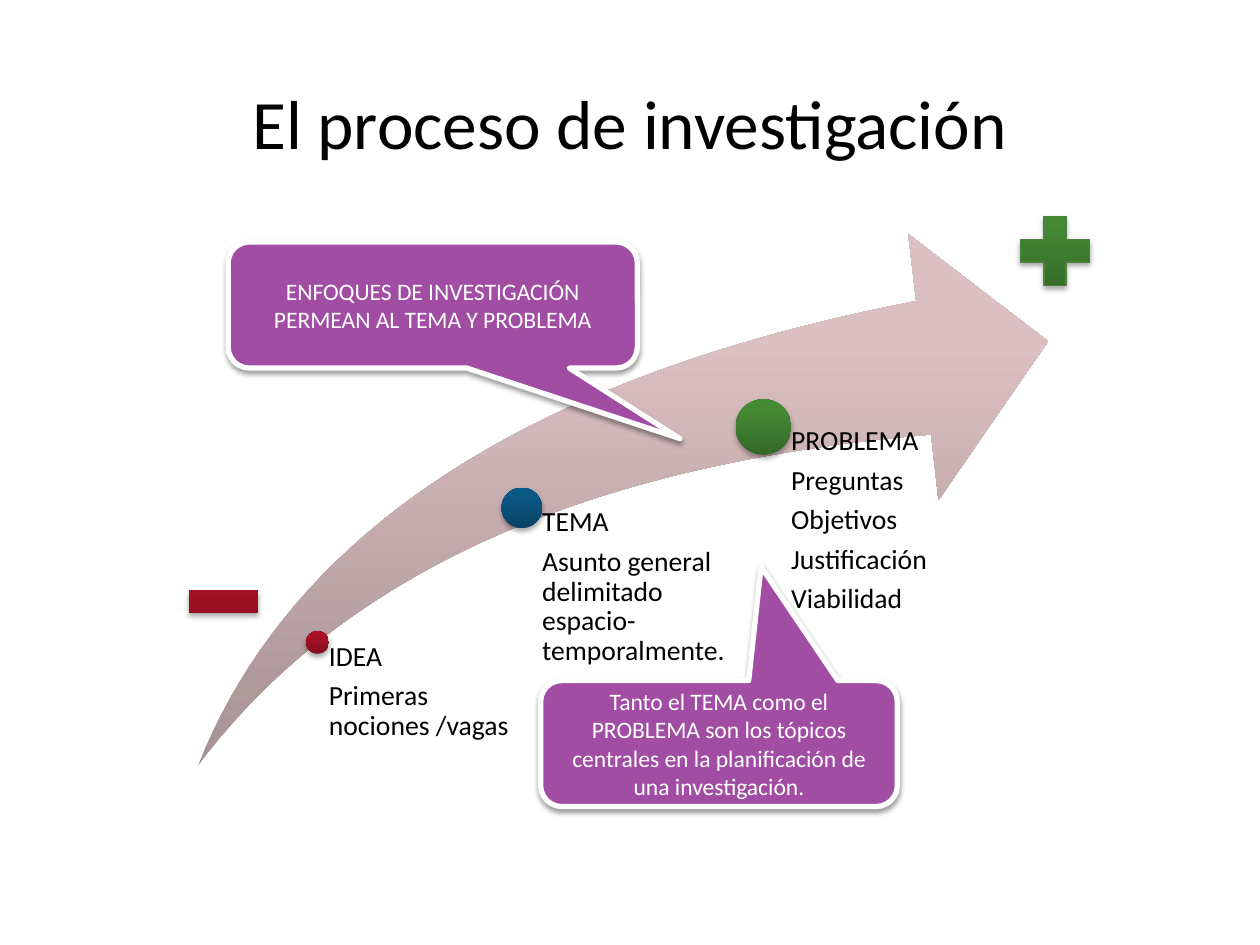
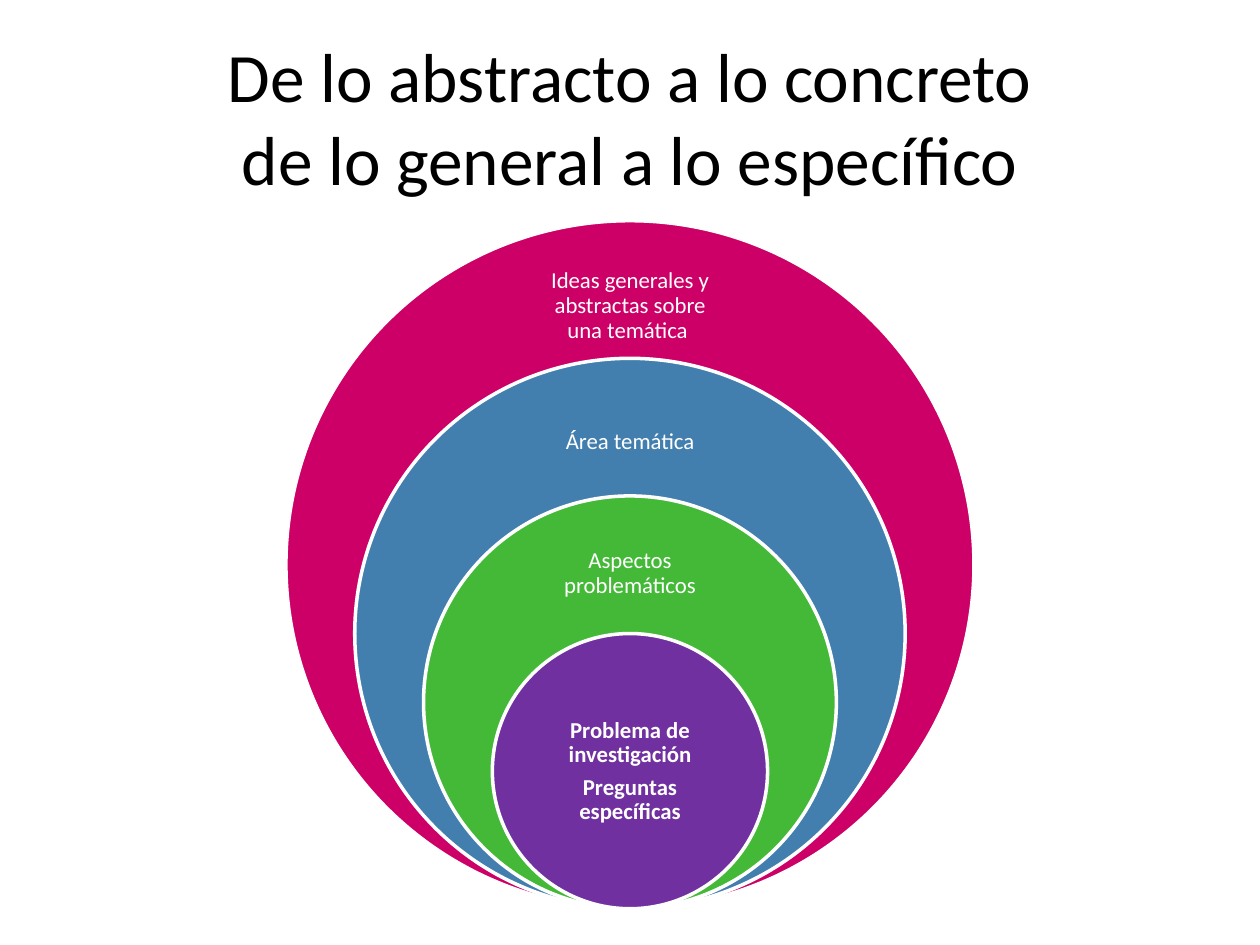
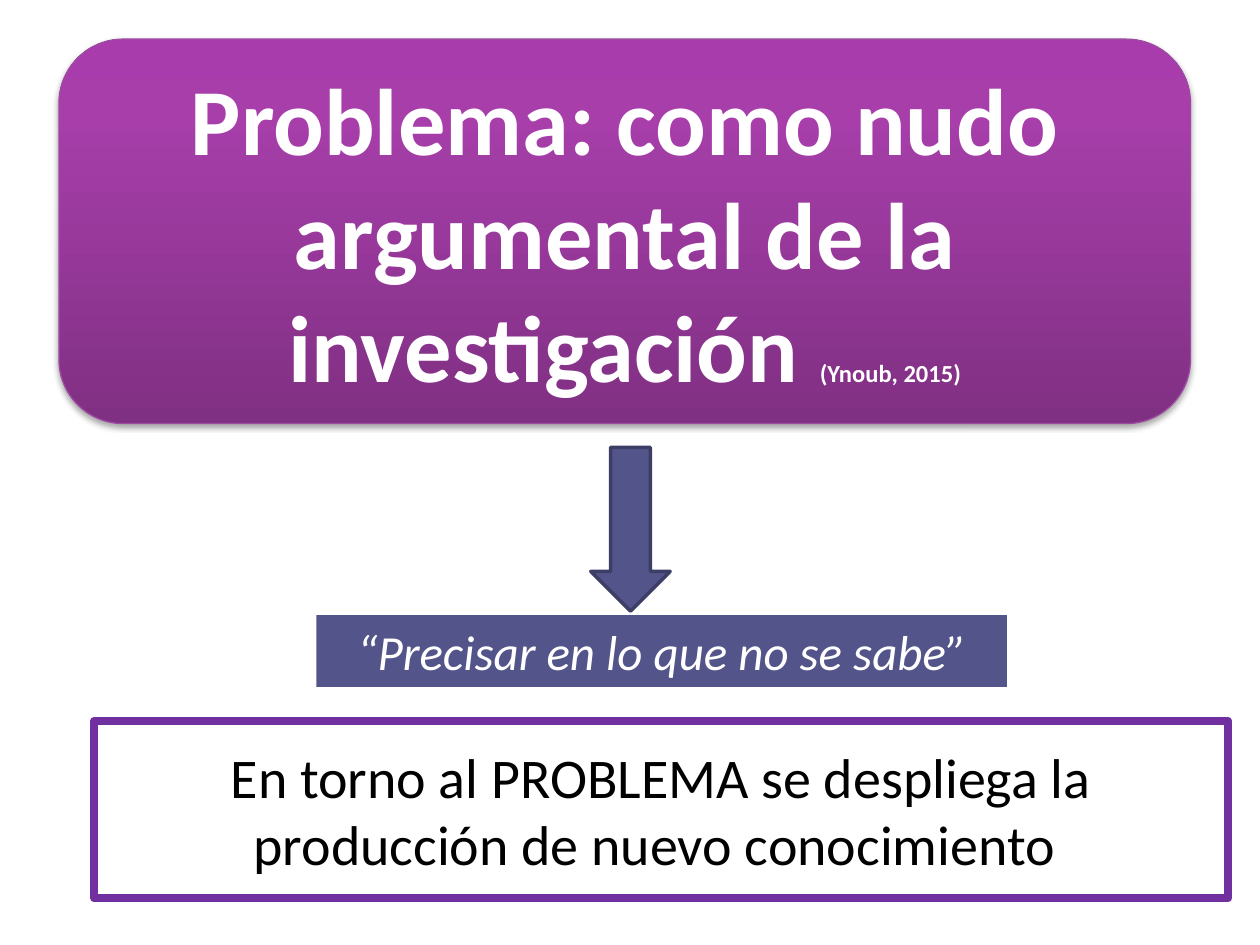
from lxml import etree
from pptx import Presentation
from pptx.dml.color import RGBColor
from pptx.enum.shapes import MSO_SHAPE
from pptx.enum.text import MSO_ANCHOR, MSO_AUTO_SIZE, PP_ALIGN
from pptx.oxml.ns import qn
from pptx.util import Cm, Pt

ELLIPSE = MSO_SHAPE.OVAL
RECTANGLE = MSO_SHAPE.RECTANGLE
ROUNDED = MSO_SHAPE.ROUNDED_RECTANGLE
DOWN_ARROW = MSO_SHAPE.DOWN_ARROW
CALLOUT = MSO_SHAPE.ROUNDED_RECTANGULAR_CALLOUT
MINUS = MSO_SHAPE.MATH_MINUS
PLUS = MSO_SHAPE.MATH_PLUS
CENTER = PP_ALIGN.CENTER
LEFT = PP_ALIGN.LEFT
MIDDLE = MSO_ANCHOR.MIDDLE
TOP = MSO_ANCHOR.TOP
NO_AUTOFIT = MSO_AUTO_SIZE.NONE
GROW = MSO_AUTO_SIZE.SHAPE_TO_FIT_TEXT

FONT = "Calibri"
BLACK = "000000"
WHITE = "FFFFFF"
VIOLET = "7030A0"
ORCHID = "A04DA3"
INDIGO = "53548A"
RED = ("820D1D", "AA1225", "AE0F23")
BLUE = ("084265", "0C5884", "095988")
GREEN = ("346827", "448934", "438C33")
ROSE = ("A69194", "DAC0C2", "DBC0C3")
PURPLE = ("803083", "A73EAA", "A93CAD")
GRADIENT_STOPS = (0, 80, 100)

SLIDE_WIDTH, SLIDE_HEIGHT = 25.4, 19.05
TITLE_ONLY = 5
DEFAULT_INSETS = (0.25, 0.13, 0.25, 0.13)
SMALL_INSETS = (0.18, 0.1, 0.18, 0.1)

ARROW_START = (3.99, 15.44)
ARROW_UPPER_CURVE = [ARROW_START, (5.89, 10.69), (10.72, 7.57), (18.47, 6.07)]
ARROW_HEAD = [(18.31, 4.72), (21.13, 6.88), (18.92, 10.08)]
ARROW_LOWER_CURVE = [(18.77, 8.76), (11.79, 9.35), (6.86, 11.58), ARROW_START]
CURVE_STEPS = 40

STEPS_BOTTOM = 16.05
STEPS = [
    ((6.4, 12.95), 0.46, 3.99, RED, ["IDEA", "Primeras nociones /vagas"]),
    ((10.52, 10.24), 0.82, 4.11, BLUE,
     ["TEMA", "Asunto general delimitado espacio-temporalmente."]),
    ((15.39, 8.61), 1.12, 4.11, GREEN,
     ["PROBLEMA", "Preguntas", "Objetivos", "Justificación", "Viabilidad"]),
]

RINGS_BOTTOM = 18.32
RING_DIAMETER = 13.87
RING_LABEL_WIDTH = 3.9
RINGS = [
    ("CC0066", 5.13, 2.08, ["Ideas generales y abstractas sobre una temática "], False),
    ("427FAE", 7.9, 2.01, ["Área temática"], False),
    ("44B938", 10.62, 1.88, ["Aspectos problemáticos"], False),
    (VIOLET, 14.17, 2.77, ["Problema de investigación", "Preguntas específicas"], True),
]


def color(value):
    return RGBColor.from_string(value)


def set_attributes(target, values):
    for name, value in values.items():
        setattr(target, name, value)


def place(shape, box):
    names = ("left", "top", "width", "height")
    set_attributes(shape, dict(zip(names, map(Cm, box))))


def format_run(run, size, text_color, **style):
    set_attributes(run.font, {"name": FONT, "size": Pt(size), **style})
    run.font.color.rgb = color(text_color)


def write_text(shape, paragraphs, size, text_color, align=CENTER, anchor=MIDDLE,
               insets=DEFAULT_INSETS, auto_size=NO_AUTOFIT, line_spacing=None,
               space_before=0, space_after=0, **style):
    frame = shape.text_frame
    margins = ("margin_left", "margin_top", "margin_right", "margin_bottom")
    set_attributes(frame, {"word_wrap": True, "auto_size": auto_size,
                           "vertical_anchor": anchor,
                           **dict(zip(margins, map(Cm, insets)))})
    for index, text in enumerate(paragraphs):
        paragraph = frame.add_paragraph() if index else frame.paragraphs[0]
        paragraph.text = text
        set_attributes(paragraph, {
            "alignment": align,
            "line_spacing": line_spacing,
            "space_before": Pt(space_before if index else 0),
            "space_after": Pt(space_after),
        })
        for run in paragraph.runs:
            format_run(run, size, text_color, **style)


def fill_gradient(shape, colors):
    shape.fill.gradient()
    shape.fill.gradient_angle = 90
    stops = shape.element.spPr.find(qn("a:gradFill")).find(qn("a:gsLst"))
    stops.clear()
    for position, value in zip(GRADIENT_STOPS, colors):
        stop = etree.SubElement(stops, qn("a:gs"), pos=str(position * 1000))
        etree.SubElement(stop, qn("a:srgbClr"), val=value)


def add_shadow(shape, opacity=35):
    effects = shape.element.spPr.find(qn("a:effectLst"))
    shadow = etree.SubElement(effects, qn("a:outerShdw"), blurRad=str(Pt(3.1)),
                              dist=str(Pt(1.8)), dir="5400000", rotWithShape="0")
    shadow_color = etree.SubElement(shadow, qn("a:srgbClr"), val=BLACK)
    etree.SubElement(shadow_color, qn("a:alpha"), val=str(opacity * 1000))


def set_line(shape, line):
    if line is None:
        shape.line.fill.background()
        return
    line_color, width = line
    shape.line.color.rgb = color(line_color)
    shape.line.width = Pt(width)


def style_shape(shape, fill, line=None):
    shape.shadow.inherit = False
    if isinstance(fill, tuple):
        fill_gradient(shape, fill)
    else:
        shape.fill.solid()
        shape.fill.fore_color.rgb = color(fill)
    set_line(shape, line)


def add_preset(slide, kind, box, fill, line=None, adjustments=()):
    shape = slide.shapes.add_shape(kind, *map(Cm, box))
    for index, value in enumerate(adjustments):
        shape.adjustments[index] = value
    style_shape(shape, fill, line)
    return shape


def add_label(slide, box, paragraphs, size, text_color, **options):
    label = slide.shapes.add_textbox(*map(Cm, box))
    write_text(label, paragraphs, size, text_color, **options)


def add_title_slide(presentation, title, box, size=39.6, insets=DEFAULT_INSETS):
    slide = presentation.slides.add_slide(presentation.slide_layouts[TITLE_ONLY])
    place(slide.shapes.title, box)
    write_text(slide.shapes.title, [title], size, BLACK, insets=insets)
    return slide


def curve_points(controls):
    points = []
    for step in range(CURVE_STEPS + 1):
        t = step / CURVE_STEPS
        weights = ((1 - t) ** 3, 3 * t * (1 - t) ** 2, 3 * t ** 2 * (1 - t), t ** 3)
        points.append(tuple(sum(weight * value for weight, value in zip(weights, axis))
                            for axis in zip(*controls)))
    return points


def add_curved_arrow(slide):
    outline = curve_points(ARROW_UPPER_CURVE) + ARROW_HEAD + curve_points(ARROW_LOWER_CURVE)
    points = [(Cm(x), Cm(y)) for x, y in outline]
    builder = slide.shapes.build_freeform(*points[0])
    builder.add_line_segments(points[1:], close=True)
    style_shape(builder.convert_to_shape(), ROSE)


def add_step(slide, center, diameter, width, fill, paragraphs):
    x, y = center
    radius = diameter / 2
    dot = add_preset(slide, ELLIPSE, (x - radius, y - radius, diameter, diameter), fill)
    add_shadow(dot)
    add_label(slide, (x, y, width, STEPS_BOTTOM - y), paragraphs, 15.8, BLACK,
              align=LEFT, anchor=TOP, insets=(radius, 0, 0, 0),
              line_spacing=0.9, space_before=5.5)


def add_sign(slide, kind, left, top, fill, line=None):
    add_shadow(add_preset(slide, kind, (left, top, 1.9, 1.9), fill, line, [0.235]))


def add_callout(slide, box, pointer, text):
    callout = add_preset(slide, CALLOUT, box, ORCHID, (WHITE, 3), (*pointer, 0.167))
    add_shadow(callout, 38)
    write_text(callout, [text], 13.5, WHITE, insets=SMALL_INSETS)


def build_process(presentation):
    slide = add_title_slide(presentation, "El proceso de investigación",
                            (4.12, 1.12, 17.15, 2.67), insets=SMALL_INSETS)
    add_curved_arrow(slide)
    for step in STEPS:
        add_step(slide, *step)
    add_sign(slide, MINUS, 3.56, 11.18, RED)
    add_sign(slide, PLUS, 20.32, 4.11, GREEN, ("4A823E", 0.75))
    add_callout(slide, (4.6, 4.88, 8.25, 2.54), (0.604, 1.061),
                "ENFOQUES DE INVESTIGACIÓN PERMEAN AL TEMA Y PROBLEMA")
    add_callout(slide, (10.9, 13.72, 7.19, 2.54), (0.118, -1.403),
                "Tanto el TEMA como el PROBLEMA son los tópicos centrales "
                "en la planificación de una investigación.")


def build_rings(presentation):
    slide = add_title_slide(presentation,
                            "De lo abstracto a lo concreto\nde lo general a lo específico",
                            (1.27, 0.76, 22.86, 3.18))
    middle = SLIDE_WIDTH / 2
    for index, (fill, top, height, paragraphs, bold) in enumerate(RINGS):
        diameter = RING_DIAMETER * (1 - 0.2 * index)
        add_preset(slide, ELLIPSE, (middle - diameter / 2, RINGS_BOTTOM - diameter,
                                    diameter, diameter), fill, (WHITE, 2))
        add_label(slide, (middle - RING_LABEL_WIDTH / 2, top, RING_LABEL_WIDTH, height),
                  paragraphs, 13, WHITE, insets=(0.25,) * 4, line_spacing=0.9,
                  space_after=4.5, bold=bold)


def build_problem(presentation):
    slide = add_title_slide(
        presentation,
        "En torno al PROBLEMA se despliega la producción de nuevo conocimiento ",
        (1.9, 14.53, 22.86, 3.58), size=32)
    set_line(slide.shapes.title, (VIOLET, 4.5))

    banner = add_preset(slide, ROUNDED, (1.19, 0.79, 22.81, 7.75), PURPLE, ("9E49A2", 0.75))
    add_shadow(banner)
    write_text(banner, ["Problema: como nudo argumental de la investigación "],
               54, WHITE, bold=True)
    citation = banner.text_frame.paragraphs[0].add_run()
    citation.text = "(Ynoub, 2015)"
    format_run(citation, 14, WHITE, bold=True)

    add_preset(slide, DOWN_ARROW, (11.91, 9.02, 1.6, 3.3), INDIGO, ("3D3E66", 2))
    quote = add_preset(slide, RECTANGLE, (6.38, 12.4, 13.92, 1.45), INDIGO)
    write_text(quote, ["“Precisar en lo que no se sabe”"], 28, WHITE,
               anchor=TOP, auto_size=GROW, italic=True)


def main():
    presentation = Presentation()
    presentation.slide_width = Cm(SLIDE_WIDTH)
    presentation.slide_height = Cm(SLIDE_HEIGHT)
    build_process(presentation)
    build_rings(presentation)
    build_problem(presentation)
    presentation.save("out.pptx")


if __name__ == "__main__":
    main()
